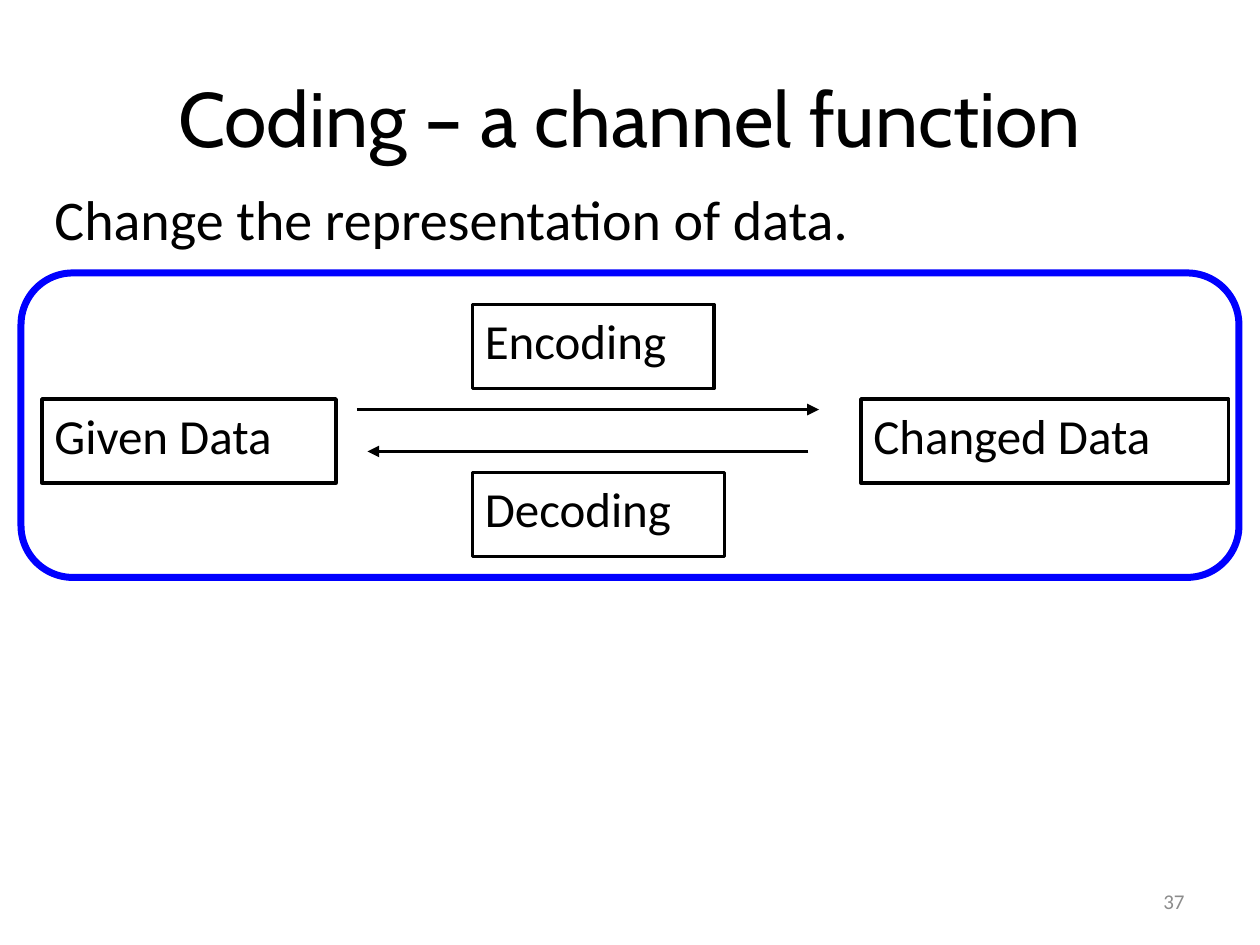
from dataclasses import dataclass

import pptx
import pptx.dml.color
import pptx.enum.shapes
import pptx.enum.text
import pptx.oxml
import pptx.oxml.ns
import pptx.util

Align = pptx.enum.text.PP_ALIGN
Anchor = pptx.enum.text.MSO_ANCHOR
Preset = pptx.enum.shapes.MSO_SHAPE


@dataclass(frozen=True)
class Theme:
    ink: str = "000000"
    frame: str = "0000FF"
    muted: str = "8C8C8C"
    heading_font: str = "Cabin"
    body_font: str = "Calibri"
    title_size: int = 44
    body_size: int = 32
    label_size: int = 28
    number_size: int = 12
    box_line: float = 2
    arrow_line: float = 2.25
    frame_line: float = 4


@dataclass(frozen=True)
class Area:
    """A rectangle in grid columns and rows."""
    column: float
    row: float
    columns: float
    rows: float


@dataclass(frozen=True)
class TextStyle:
    size: int
    font: str
    color: str
    align: Align = Align.LEFT
    anchor: Anchor = Anchor.TOP


@dataclass(frozen=True)
class Label:
    text: str
    area: Area


@dataclass(frozen=True)
class Arrow:
    start: float
    end: float
    row: float


THEME = Theme()
CELL = pptx.util.Inches(1) / 12
GRID_COLUMNS, GRID_ROWS = 120, 90
BOX_ROWS = 8

TITLE = TextStyle(THEME.title_size, THEME.heading_font, THEME.ink, Align.CENTER, Anchor.MIDDLE)
BODY = TextStyle(THEME.body_size, THEME.body_font, THEME.ink)
LABEL = TextStyle(THEME.label_size, THEME.body_font, THEME.ink)
NUMBER = TextStyle(THEME.number_size, THEME.body_font, THEME.muted, Align.RIGHT, Anchor.MIDDLE)

TEXTS = [
    (Label("Coding – a channel function", Area(6, 3.6, 108, 15)), TITLE),
    (Label("Change the representation of data.", Area(4, 17, 112, 62)), BODY),
    (Label("37", Area(86, 83.4, 28, 4.8)), NUMBER),
]
BOXES = [
    Label("Given Data", Area(4, 38, 28, BOX_ROWS)),
    Label("Changed Data", Area(82, 38, 35, BOX_ROWS)),
    Label("Encoding", Area(45, 29, 23, BOX_ROWS)),
    Label("Decoding", Area(45, 45, 24, BOX_ROWS)),
]
ARROWS = [Arrow(34, 78, 39), Arrow(77, 35, 43)]
FRAME = Area(2, 26, 116, 29)


def cells(count: float) -> int:
    """Convert a number of grid cells to a length."""
    return round(count * CELL)


def bounds(area: Area) -> tuple[int, int, int, int]:
    return cells(area.column), cells(area.row), cells(area.columns), cells(area.rows)


def rgb(color: str) -> pptx.dml.color.RGBColor:
    return pptx.dml.color.RGBColor.from_string(color)


def write(shape, text: str, style: TextStyle) -> None:
    frame = shape.text_frame
    frame.text = text
    frame.word_wrap = True
    frame.vertical_anchor = style.anchor
    para = frame.paragraphs[0]
    para.alignment = style.align
    font = para.runs[0].font
    font.name = style.font
    font.size = pptx.util.Pt(style.size)
    font.color.rgb = rgb(style.color)


def set_line(shape, color: str, width: float) -> None:
    shape.line.color.rgb = rgb(color)
    shape.line.width = pptx.util.Pt(width)


def add_outline(page, preset: Preset, area: Area, color: str, width: float):
    """Add an unfilled preset shape."""
    shape = page.shapes.add_shape(preset, *bounds(area))
    shape.shadow.inherit = False
    shape.fill.background()
    set_line(shape, color, width)
    return shape


def add_arrow(page, arrow: Arrow) -> None:
    line = page.shapes.add_connector(
        pptx.enum.shapes.MSO_CONNECTOR.STRAIGHT,
        cells(arrow.start), cells(arrow.row), cells(arrow.end), cells(arrow.row))
    set_line(line, THEME.ink, THEME.arrow_line)
    namespace = pptx.oxml.ns.nsdecls("a")
    line.line._get_or_add_ln().append(
        pptx.oxml.parse_xml(f'<a:tailEnd {namespace} type="triangle"/>'))
    line._element.spPr.append(pptx.oxml.parse_xml(f"<a:effectLst {namespace}/>"))


def main() -> None:
    deck = pptx.Presentation()
    deck.slide_width, deck.slide_height = cells(GRID_COLUMNS), cells(GRID_ROWS)
    page = deck.slides.add_slide(deck.slide_layouts[6])
    for label, style in TEXTS:
        write(page.shapes.add_textbox(*bounds(label.area)), label.text, style)
    for label in BOXES:
        box = add_outline(page, Preset.RECTANGLE, label.area, THEME.ink, THEME.box_line)
        write(box, label.text, LABEL)
    for arrow in ARROWS:
        add_arrow(page, arrow)
    frame = add_outline(page, Preset.ROUNDED_RECTANGLE, FRAME, THEME.frame, THEME.frame_line)
    frame.adjustments[0] = 0.17
    deck.save("out.pptx")


if __name__ == "__main__":
    main()
